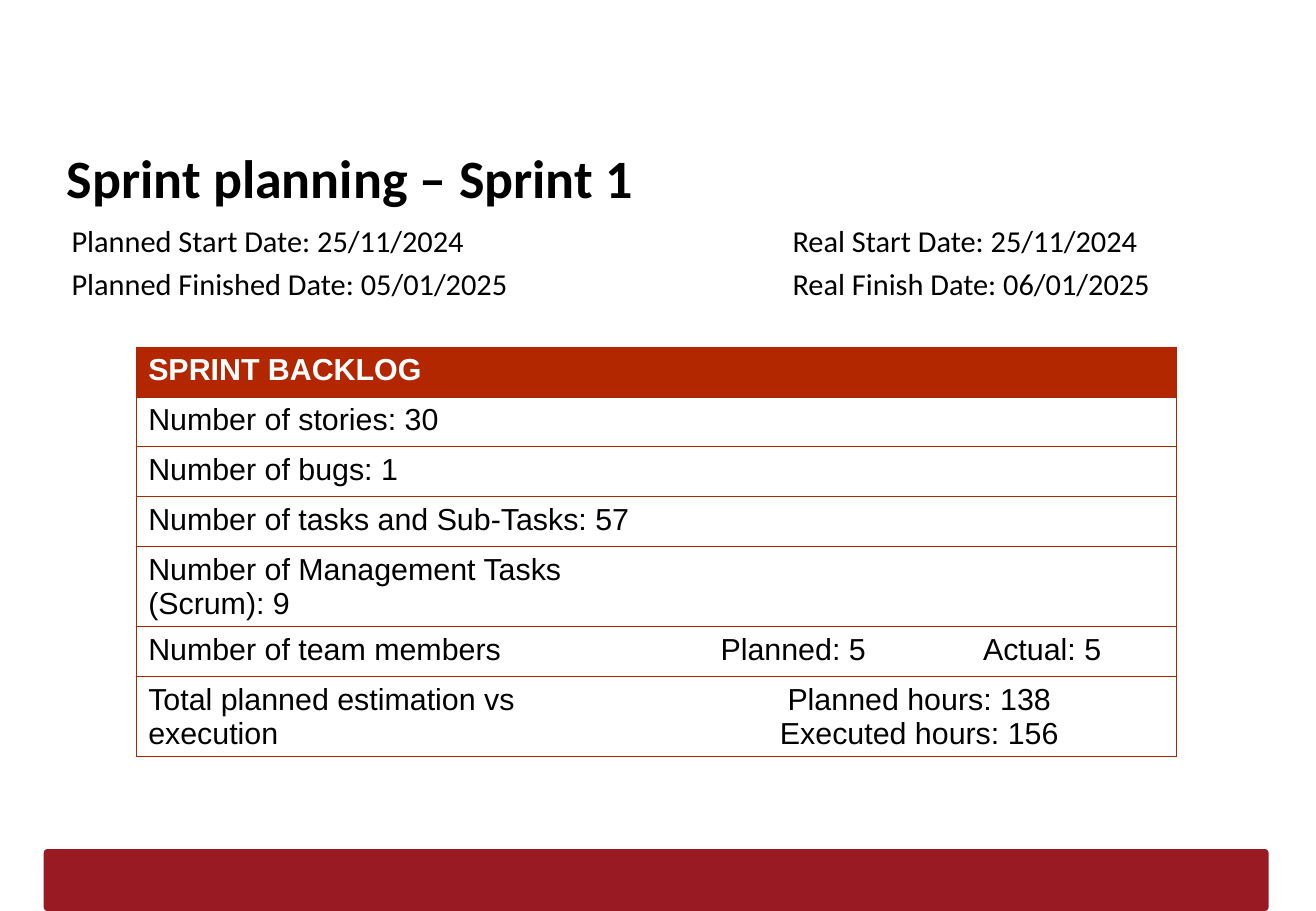
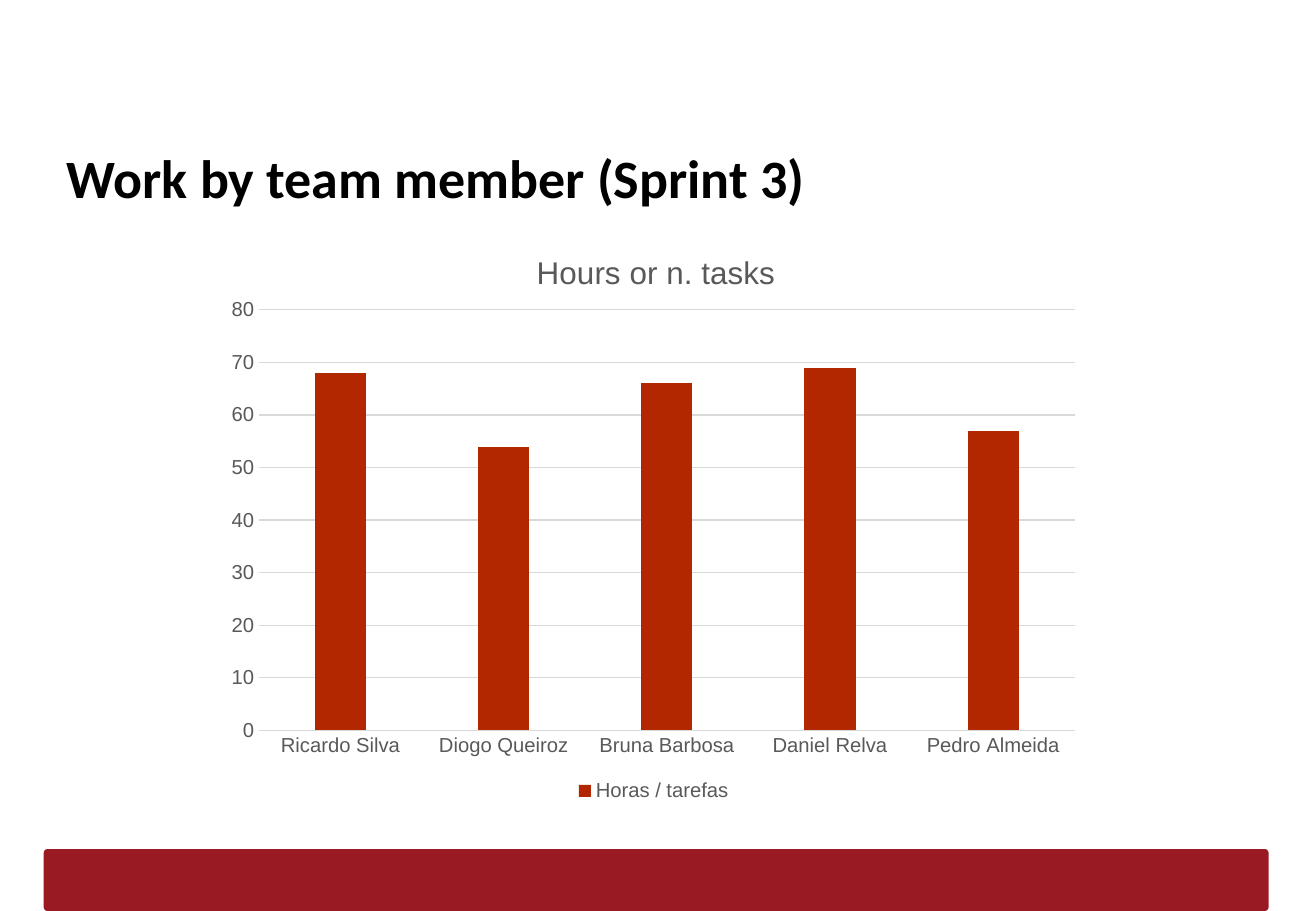
from lxml import etree
from pptx import Presentation
from pptx.chart.data import CategoryChartData
from pptx.dml.color import RGBColor
from pptx.enum.chart import XL_CHART_TYPE, XL_LEGEND_POSITION, XL_TICK_MARK
from pptx.enum.shapes import MSO_SHAPE
from pptx.enum.text import MSO_ANCHOR, MSO_AUTO_SIZE, PP_ALIGN
from pptx.oxml.ns import qn
from pptx.util import Inches, Pt

COLUMN = XL_CHART_TYPE.COLUMN_CLUSTERED
BOTTOM = XL_LEGEND_POSITION.BOTTOM
NO_TICK = XL_TICK_MARK.NONE
ROUNDED = MSO_SHAPE.ROUNDED_RECTANGLE
TOP = MSO_ANCHOR.TOP
NO_FIT = MSO_AUTO_SIZE.NONE
LEFT, CENTER = PP_ALIGN.LEFT, PP_ALIGN.CENTER

WIDTH, HEIGHT = 10.83, 7.5
BAND, ACCENT, BORDER = "9A1A24", "B22600", "AE2500"
BLACK, WHITE, GREY, GRID = "000000", "FFFFFF", "595959", "D9D9D9"

BAND_BOX = (0.36, 6.99, 10.08, 0.51)
TITLE_BOX = (0.45, 1.09, 9.89, 0.63)
DATES_BOX = (0.49, 1.78, 9.89, 0.78)
BACKLOG_BOX = (1.12, 2.86, 8.56, 2.87)
CHART_BOX = (1.77, 1.83, 7.22, 4.81)

TITLE_FONT = dict(name="Calibri", size=Pt(32), bold=True, color=BLACK)
DATE_FONT = dict(name="Calibri", size=Pt(18), color=BLACK)
CELL_FONT = dict(name="Arial", size=Pt(18), bold=False, color=BLACK)
HEAD_FONT = dict(CELL_FONT, bold=True, color=WHITE)
CHART_FONT = dict(name="Arial", size=Pt(12), bold=False, color=GREY)
CHART_TITLE_FONT = dict(CHART_FONT, size=Pt(18.6))

DATES = [
    "Planned Start Date: 25/11/2024\tReal Start Date: 25/11/2024",
    "Planned Finished Date: 05/01/2025\tReal Finish Date: 06/01/2025",
]
BACKLOG = [
    ("SPRINT BACKLOG", ""),
    ("Number of stories: 30", ""),
    ("Number of bugs: 1", ""),
    ("Number of tasks and Sub-Tasks: 57", ""),
    ("Number of Management Tasks (Scrum): 9", ""),
    ("Number of team members", "\tPlanned: 5\tActual: 5"),
    ("Total planned estimation vs execution",
     "Planned hours: 138\nExecuted hours: 156"),
]
HOURS = {"Ricardo Silva": 68, "Diogo Queiroz": 54, "Bruna Barbosa": 66,
         "Daniel Relva": 69, "Pedro Almeida": 57}


def inches(box):
    return [Inches(v) for v in box]


def paint(color_format, color):
    color_format.rgb = RGBColor.from_string(color)


def fill(obj, color):
    obj.fill.solid()
    paint(obj.fill.fore_color, color)


def set_all(obj, **values):
    for name, value in values.items():
        setattr(obj, name, value)


def style(font, color, **values):
    set_all(font, **values)
    paint(font.color, color)


def set_tabs(p, *stops):
    """Add left tab stops, in inches from the text edge."""
    tabs = etree.SubElement(p._p.get_or_add_pPr(), qn("a:tabLst"))
    for stop in stops:
        etree.SubElement(tabs, qn("a:tab"), pos=str(Inches(stop)), algn="l")


def write(tf, text, font, **formats):
    tf.text = text
    for p in tf.paragraphs:
        set_all(p, **formats)
        style(p.font, **font)
        for r in p.runs:
            style(r.font, **font)


def set_borders(cell, sides):
    """Draw the named sides (L, R, T, B) and hide the others."""
    tcPr = cell._tc.get_or_add_tcPr()
    for side in "LRTB":
        ln = etree.SubElement(tcPr, qn(f"a:ln{side}"), w=str(Pt(0.75)))
        if side in sides:
            solid = etree.SubElement(ln, qn("a:solidFill"))
            etree.SubElement(solid, qn("a:srgbClr"), val=BORDER)
        else:
            etree.SubElement(ln, qn("a:noFill"))


def set_layout(element, **shares):
    """Place a chart part by shares of the chart area."""
    layout = element.find(qn("c:layout"))
    if layout is None:
        layout = etree.Element(qn("c:layout"))
        element.insert(0, layout)
    manual = etree.SubElement(layout, qn("c:manualLayout"))
    if "w" in shares:
        etree.SubElement(manual, qn("c:layoutTarget"), val="inner")
    for axis in "xy":
        etree.SubElement(manual, qn(f"c:{axis}Mode"), val="edge")
    for name, share in shares.items():
        etree.SubElement(manual, qn(f"c:{name}"), val=str(share))


def add_master_band(prs, slide):
    """Draw the bottom band on a slide, then move it to the master."""
    sp = slide.shapes.add_shape(ROUNDED, *inches(BAND_BOX))
    sp.adjustments[0] = 0.06
    sp.shadow.inherit = False
    fill(sp, BAND)
    sp.line.fill.background()
    prs.slide_master.shapes.element.insert(2, sp._element)


def add_titled_slide(prs, title):
    slide = prs.slides.add_slide(prs.slide_layouts.get_by_name("Title Only"))
    sp = slide.shapes.title
    set_all(sp, **dict(zip(("left", "top", "width", "height"),
                           inches(TITLE_BOX))))
    tf = sp.text_frame
    margins = ("margin_left", "margin_top", "margin_right", "margin_bottom")
    set_all(tf, vertical_anchor=TOP, auto_size=NO_FIT,
            **dict.fromkeys(margins, Inches(0.1)))
    write(tf, title, TITLE_FONT, alignment=LEFT)
    return slide


def add_dates(slide, box):
    tf = slide.shapes.add_textbox(*inches(box)).text_frame
    tf.word_wrap = True
    write(tf, "\n".join(DATES), DATE_FONT, space_after=Pt(4))
    for p in tf.paragraphs:
        set_tabs(p, box[2] * 0.6)


def add_backlog(slide, box):
    rows = len(BACKLOG)
    table = slide.shapes.add_table(rows, 2, *inches(box)).table
    set_all(table, first_row=False, horz_banding=False)
    first = 4.33
    for col, width in zip(table.columns, (first, box[2] - first)):
        col.width = Inches(width)
    for i, texts in enumerate(BACKLOG):
        for j, text in enumerate(texts):
            cell = table.cell(i, j)
            set_borders(cell, "TB" + "LR"[j])
            if i == 0:
                fill(cell, ACCENT)
            else:
                cell.fill.background()
            tabbed = "\t" in text
            write(cell.text_frame, text, CELL_FONT if i else HEAD_FONT,
                  alignment=CENTER if j and not tabbed else LEFT)
            if tabbed:
                set_tabs(cell.text_frame.paragraphs[0], 0.38, 2.54)


def add_hours_chart(slide, box):
    data = CategoryChartData()
    data.categories = list(HOURS)
    data.add_series("Horas / tarefas", list(HOURS.values()))
    chart = slide.shapes.add_chart(COLUMN, *inches(box), data).chart
    style(chart.font, **CHART_FONT)

    chart.has_title = True
    write(chart.chart_title.text_frame, "Hours or n. tasks", CHART_TITLE_FONT)
    set_layout(chart.chart_title._element, x=0.36, y=0.04)

    plot = chart.plots[0]
    set_all(plot, gap_width=219, overlap=-27, vary_by_categories=False)
    fill(plot.series[0].format, ACCENT)
    set_layout(chart._chartSpace.chart.plotArea, x=0.05, y=0.15, w=0.93, h=0.72)

    cats, vals = chart.category_axis, chart.value_axis
    for axis in (cats, vals):
        set_all(axis, major_tick_mark=NO_TICK, minor_tick_mark=NO_TICK)
        style(axis.tick_labels.font, **CHART_FONT)
    set_all(vals, minimum_scale=0, maximum_scale=80, major_unit=10,
            has_major_gridlines=True)
    vals.format.line.fill.background()
    for line in (cats.format.line, vals.major_gridlines.format.line):
        line.width = Pt(0.75)
        paint(line.color, GRID)

    chart.has_legend = True
    set_all(chart.legend, position=BOTTOM, include_in_layout=False)
    style(chart.legend.font, **CHART_FONT)


def main():
    prs = Presentation()
    set_all(prs, slide_width=Inches(WIDTH), slide_height=Inches(HEIGHT))

    planning = add_titled_slide(prs, "Sprint planning – Sprint 1")
    add_master_band(prs, planning)
    add_backlog(planning, BACKLOG_BOX)
    add_dates(planning, DATES_BOX)

    work = add_titled_slide(prs, "Work by team member (Sprint 3)")
    add_hours_chart(work, CHART_BOX)

    prs.save("out.pptx")


if __name__ == "__main__":
    main()
